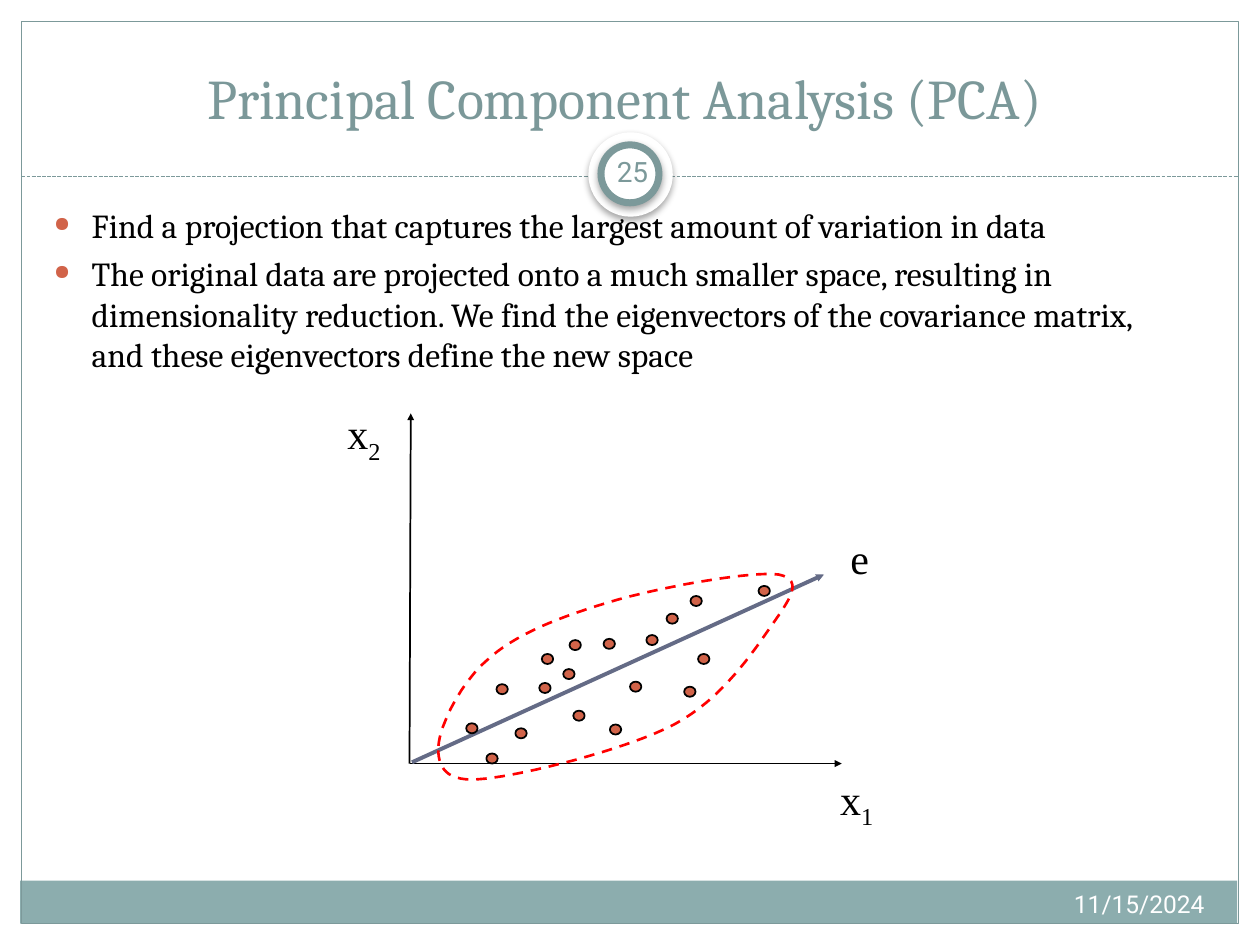
import dataclasses
import typing

import lxml.etree
import pptx
import pptx.dml.color
import pptx.enum.dml
import pptx.enum.shapes
import pptx.enum.text
import pptx.oxml.ns
import pptx.util

Inches, Pt = pptx.util.Inches, pptx.util.Pt
SHAPE = pptx.enum.shapes.MSO_SHAPE
ALIGN = pptx.enum.text.PP_ALIGN
ANCHOR = pptx.enum.text.MSO_ANCHOR
DASH = pptx.enum.dml.MSO_LINE
qn = pptx.oxml.ns.qn


@dataclasses.dataclass(frozen=True)
class Theme:
    white: str = "FFFFFF"
    black: str = "000000"
    teal: str = "7C999A"
    title_teal: str = "7B9899"
    band: str = "8CADAE"
    rust: str = "D16349"
    slate: str = "646B86"
    red: str = "FF0000"
    serif: str = "Cambria"
    sans: str = "Roboto"
    math: str = "Times New Roman"
    title_size: float = 32
    body_size: float = 19.2
    label_size: float = 24
    date_size: float = 14
    number_size: float = 16


class Box(typing.NamedTuple):
    left: float
    top: float
    width: float
    height: float


class Stroke(typing.NamedTuple):
    color: str
    width: float
    dash: typing.Any = None


class TextStyle(typing.NamedTuple):
    font: str
    size: float
    color: str
    align: typing.Any = ALIGN.LEFT
    anchor: typing.Any = ANCHOR.TOP


class AxisLabel(typing.NamedTuple):
    box: Box
    symbol: str
    subscript: str = ""


class Arrow(typing.NamedTuple):
    start: tuple[float, float]
    end: tuple[float, float]
    stroke: Stroke


THEME = Theme()
OUTLINE = Stroke(THEME.black, 1)
LABEL = TextStyle(THEME.math, THEME.label_size, THEME.black, ALIGN.CENTER, ANCHOR.MIDDLE)
DOT_WIDTH, DOT_HEIGHT = 0.09, 0.08
CURVE_STEPS = 16
UNITS_PER_INCH = 1000

BULLETS = [
    "Find a projection that captures the largest amount of variation in data",
    "The original data are projected onto a much smaller space, resulting in "
    "dimensionality reduction. We find the eigenvectors of the covariance matrix, "
    "and these eigenvectors define the new space",
]
MARGINS = [Box(0, 0, 10, 1.52), Box(0, 0, 0.17, 7.5), Box(9.83, 0, 0.17, 7.5)]
ORIGIN = (3.25, 6.06)
ARROWS = [
    Arrow(ORIGIN, (3.26, 3.28), OUTLINE),
    Arrow(ORIGIN, (6.68, 6.06), OUTLINE),
    Arrow((3.27, 6.05), (6.54, 4.56), Stroke(THEME.slate, 2.25)),
]
AXIS_LABELS = [
    AxisLabel(Box(2.66, 3.19, 0.46, 0.55), "x", "2"),
    AxisLabel(Box(6.57, 6.09, 0.46, 0.55), "x", "1"),
    AxisLabel(Box(6.65, 4.18, 0.34, 0.5), "e"),
]
DATA_POINTS = [
    (3.94, 5.43), (4.3, 5.19), (3.7, 5.74), (4.47, 5.31), (4.28, 5.42), (5, 5.41),
    (4.84, 5.75), (4.55, 5.64), (4.79, 5.07), (5.54, 5.19), (6.02, 4.65), (4.09, 5.78),
    (5.13, 5.04), (5.48, 4.73), (4.52, 5.08), (5.29, 4.87), (5.43, 5.45), (3.86, 5.98),
]
# Start of the cluster outline, then two controls and an end for each cubic curve
CLUSTER_START = (3.48, 5.92)
CLUSTER_CURVES = [
    ((3.49, 5.76), (3.66, 5.4), (3.9, 5.21)),
    ((4.13, 5.01), (4.52, 4.87), (4.9, 4.76)),
    ((5.29, 4.65), (5.98, 4.53), (6.18, 4.56)),
    ((6.39, 4.6), (6.26, 4.77), (6.12, 4.97)),
    ((5.98, 5.17), (5.73, 5.55), (5.35, 5.75)),
    ((4.97, 5.95), (4.16, 6.15), (3.85, 6.18)),
    ((3.53, 6.22), (3.47, 6.08), CLUSTER_START),
]


def rgb(color: str):
    return pptx.dml.color.RGBColor.from_string(color)


def assign(target, values: dict[str, typing.Any]) -> None:
    for name, value in values.items():
        setattr(target, name, value)


def draw_line(line, stroke: Stroke) -> None:
    line.color.rgb = rgb(stroke.color)
    assign(line, {"width": Pt(stroke.width), "dash_style": stroke.dash})


def paint(shape, fill: str | None, stroke: Stroke | None) -> None:
    shape.shadow.inherit = False
    if fill:
        shape.fill.solid()
        shape.fill.fore_color.rgb = rgb(fill)
    else:
        shape.fill.background()
    if stroke:
        draw_line(shape.line, stroke)
    else:
        shape.line.fill.background()


def add_figure(shapes, kind, box: Box, fill: str | None = None, stroke: Stroke | None = None):
    figure = shapes.add_shape(kind, *map(Inches, box))
    paint(figure, fill, stroke)
    return figure


def add_soft_shadow(figure) -> None:
    effects = figure._element.spPr.find(qn("a:effectLst"))
    shadow = lxml.etree.SubElement(effects, qn("a:outerShdw"), blurRad=str(Pt(4)),
                                   dist=str(Pt(2)), dir="5400000", rotWithShape="0")
    tint = lxml.etree.SubElement(shadow, qn("a:srgbClr"), val=THEME.black)
    lxml.etree.SubElement(tint, qn("a:alpha"), val="35000")


def add_line(shapes, start, end, stroke: Stroke, arrow: bool = False) -> None:
    kind = pptx.enum.shapes.MSO_CONNECTOR.STRAIGHT
    connector = shapes.add_connector(kind, *map(Inches, (*start, *end)))
    draw_line(connector.line, stroke)
    properties = connector._element.spPr
    if arrow:
        lxml.etree.SubElement(properties.find(qn("a:ln")), qn("a:tailEnd"),
                              type="triangle", w="sm", len="sm")
    lxml.etree.SubElement(properties, qn("a:effectLst"))


def write(paragraph, text: str, style: TextStyle):
    paragraph.alignment = style.align
    run = paragraph.add_run()
    run.text = text
    assign(run.font, {"name": style.font, "size": Pt(style.size)})
    run.font.color.rgb = rgb(style.color)
    return run


def add_text(shapes, box: Box, text: str, style: TextStyle, wrap: bool = True, side: float = 0.1):
    frame = shapes.add_textbox(*map(Inches, box)).text_frame
    assign(frame, {"word_wrap": wrap, "vertical_anchor": style.anchor,
                   "margin_left": Inches(side), "margin_right": Inches(side)})
    write(frame.paragraphs[0], text, style)
    return frame


def add_bullet(paragraph) -> None:
    paragraph.space_before = Pt(4.4)
    properties = paragraph._p.get_or_add_pPr()
    for name, length in {"marL": 0.3, "indent": -0.3}.items():
        properties.set(name, str(Inches(length)))
    color = lxml.etree.SubElement(properties, qn("a:buClr"))
    lxml.etree.SubElement(color, qn("a:srgbClr"), val=THEME.rust)
    lxml.etree.SubElement(properties, qn("a:buSzPct"), val="62000")
    lxml.etree.SubElement(properties, qn("a:buChar"), char="●")


def cluster_points() -> list[tuple[float, float]]:
    points, start = [], CLUSTER_START
    for first, second, end in CLUSTER_CURVES:
        for step in range(1, CURVE_STEPS + 1):
            t = step / CURVE_STEPS
            weights = ((1 - t) ** 3, 3 * t * (1 - t) ** 2, 3 * t * t * (1 - t), t ** 3)
            knots = (start, first, second, end)
            points.append(tuple(UNITS_PER_INCH * sum(w * k[axis] for w, k in zip(weights, knots))
                                for axis in (0, 1)))
        start = end
    return points


def add_plot(slide) -> None:
    plot = slide.shapes.add_group_shape().shapes
    for arrow in ARROWS:
        add_line(plot, arrow.start, arrow.end, arrow.stroke, arrow=True)
    for left, top in DATA_POINTS:
        add_figure(plot, SHAPE.OVAL, Box(left, top, DOT_WIDTH, DOT_HEIGHT), THEME.rust, OUTLINE)
    points = cluster_points()
    outline = plot.build_freeform(*points[-1], scale=Inches(1) / UNITS_PER_INCH)
    outline.add_line_segments(points, close=True)
    paint(outline.convert_to_shape(), None, Stroke(THEME.red, 1.5, DASH.DASH))
    for label in AXIS_LABELS:
        frame = add_text(plot, label.box, label.symbol, LABEL, wrap=False)
        if label.subscript:
            subscript = write(frame.paragraphs[0], label.subscript, LABEL)
            subscript._r.get_or_add_rPr().set("baseline", "-25000")


def main() -> None:
    deck = pptx.Presentation()
    assign(deck, {"slide_width": Inches(10), "slide_height": Inches(7.5)})
    slide = deck.slides.add_slide(deck.slide_layouts[5])
    shapes = slide.shapes

    # White margins, footer band, frame, divider and page-number ring
    for margin in MARGINS:
        add_figure(shapes, SHAPE.RECTANGLE, margin, THEME.white)
    add_figure(shapes, SHAPE.RECTANGLE, Box(0.16, 6.99, 9.66, 0.34), THEME.band)
    add_figure(shapes, SHAPE.RECTANGLE, Box(0.17, 0.17, 9.66, 7.16), None, Stroke(THEME.teal, 0.75))
    add_line(shapes, (0.17, 1.4), (9.83, 1.4), Stroke(THEME.teal, 0.75, DASH.SQUARE_DOT))
    for box, stroke in ((Box(4.67, 1.05, 0.67, 0.67), None),
                        (Box(4.77, 1.15, 0.46, 0.46), Stroke(THEME.teal, 4))):
        add_soft_shadow(add_figure(shapes, SHAPE.OVAL, box, THEME.white, stroke))

    # Title, in front of the margins
    title = shapes.title
    title._element.getparent().append(title._element)
    assign(title, dict(zip(Box._fields, map(Inches, (0.17, 0.17, 9.58, 0.92)))))
    assign(title.text_frame, {"vertical_anchor": ANCHOR.BOTTOM, "word_wrap": True})
    write(title.text_frame.paragraphs[0], "Principal Component Analysis (PCA)",
          TextStyle(THEME.serif, THEME.title_size, THEME.title_teal, ALIGN.CENTER))

    # Bulleted explanation
    body = TextStyle(THEME.serif, THEME.body_size, THEME.black)
    explanation = add_text(shapes, Box(0.33, 1.58, 9.17, 1.75), BULLETS[0], body)
    for bullet in BULLETS[1:]:
        write(explanation.add_paragraph(), bullet, body)
    for paragraph in explanation.paragraphs:
        add_bullet(paragraph)

    # Scatter plot with the principal direction
    add_plot(slide)

    # Date and page number
    add_text(shapes, Box(6.33, 7.01, 3.33, 0.4), "11/15/2024",
             TextStyle(THEME.sans, THEME.date_size, THEME.white, ALIGN.RIGHT))
    add_text(shapes, Box(4.77, 1.12, 0.5, 0.48), "25", side=0.05,
             style=TextStyle(THEME.sans, THEME.number_size, THEME.teal, ALIGN.CENTER, ANCHOR.MIDDLE))

    deck.save("out.pptx")


if __name__ == "__main__":
    main()
